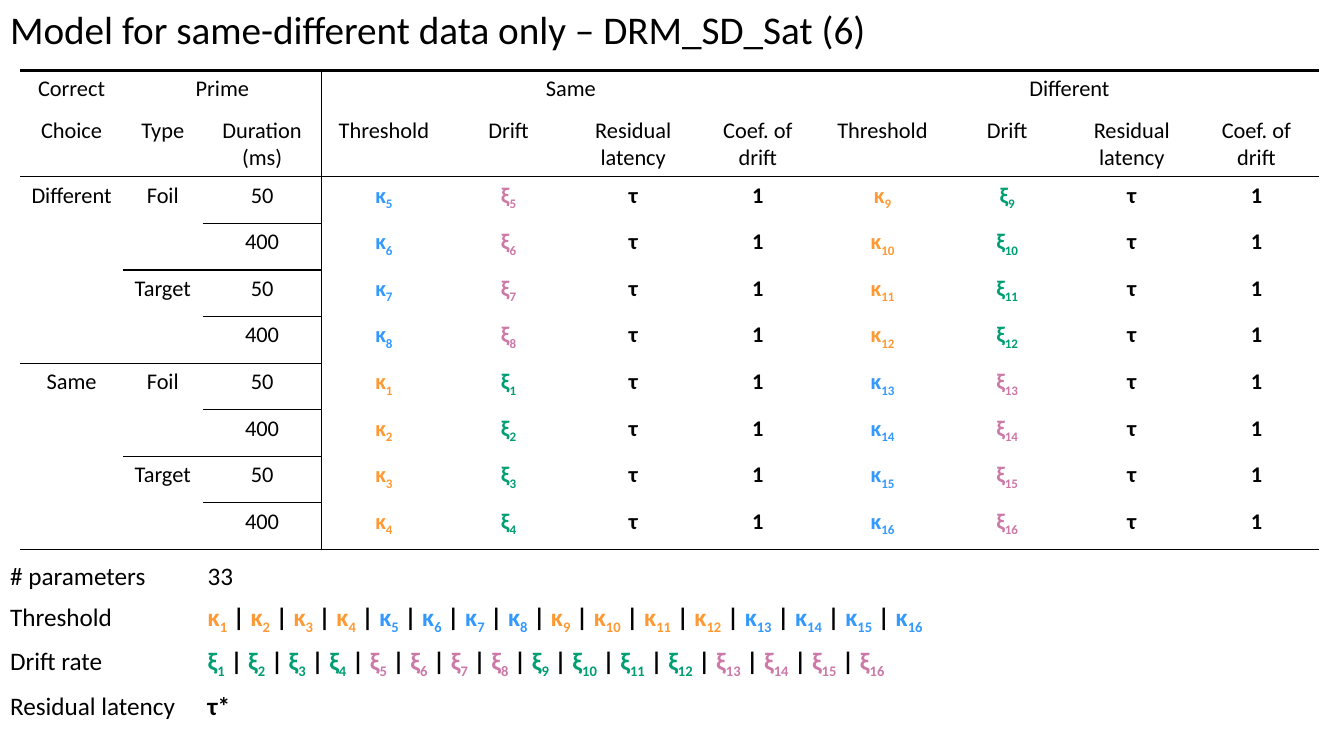
from dataclasses import dataclass
from itertools import product

from lxml import etree
from pptx import Presentation
from pptx import util as u
from pptx.dml.color import RGBColor
from pptx.enum import text
from pptx.oxml.ns import qn


@dataclass(frozen=True)
class Theme:
    font: str = "Calibri"
    black: str = "000000"
    white: str = "FFFFFF"
    correct: tuple = (("κ", "FF9933"), ("ξ", "009E73"))
    error: tuple = (("κ", "3399FF"), ("ξ", "CC79A7"))
    title_size: float = 28
    table_size: float = 16
    summary_size: float = 18
    thick: float = 2.25
    thin: float = 1
    plain_table: str = "{2D5ABB26-0587-4C30-8999-92F81FD0307C}"


@dataclass(frozen=True)
class Piece:
    text: str
    color: str = Theme.black
    bold: bool = False
    subscript: bool = False


def parameter(symbol, index):
    """Greek symbol with its number, coloured by the group of four it is in."""
    group = Theme.error if (index - 1) // 4 % 2 else Theme.correct
    color = dict(group)[symbol]
    return [Piece(symbol, color, True), Piece(str(index), color, True, True)]


def parameter_list(symbol, count=16):
    pieces = parameter(symbol, 1)
    for index in range(2, count + 1):
        pieces += [Piece(" | ", bold=True)] + parameter(symbol, index)
    return pieces


class SlideBuilder:
    def __init__(self, presentation, theme):
        self.theme = theme
        self.slide = presentation.slides.add_slide(presentation.slide_layouts[5])

    def add_runs(self, paragraph, pieces, size, alignment):
        paragraph.alignment = alignment
        for piece in pieces:
            run = paragraph.add_run()
            run.text = piece.text
            run.font.name = self.theme.font
            run.font.size = u.Pt(size)
            run.font.bold = piece.bold
            run.font.color.rgb = RGBColor.from_string(piece.color)
            if piece.subscript:
                run.font._element.set("baseline", "-25000")

    def title(self, words, left, top, width, height):
        title = self.slide.shapes.title
        title.left, title.top = u.Inches(left), u.Inches(top)
        title.width, title.height = u.Inches(width), u.Inches(height)
        frame = title.text_frame
        frame.word_wrap = False
        frame.auto_size = text.MSO_AUTO_SIZE.NONE
        frame.vertical_anchor = text.MSO_ANCHOR.TOP
        self.add_runs(frame.paragraphs[0], [Piece(words)],
                      self.theme.title_size, text.PP_ALIGN.LEFT)

    def table(self, left, top, widths, heights):
        frame = self.slide.shapes.add_table(
            len(heights), len(widths), u.Inches(left), u.Inches(top),
            u.Inches(sum(widths)), u.Inches(sum(heights)))
        table = frame.table
        table.first_row = table.horz_banding = False
        table._tbl.tblPr.find(qn("a:tableStyleId")).text = self.theme.plain_table
        for column, width in zip(table.columns, widths):
            column.width = u.Inches(width)
        for row, height in zip(table.rows, heights):
            row.height = u.Inches(height)
        return table

    def cell(self, cell, content, size, alignment, fill=None, borders=None):
        """Content is a string, one paragraph a line, or a list of pieces."""
        if isinstance(content, str):
            lines = [[Piece(line)] for line in content.split("\n") if line]
        else:
            lines = [content]
        for number, pieces in enumerate(lines):
            frame = cell.text_frame
            paragraph = frame.add_paragraph() if number else frame.paragraphs[0]
            self.add_runs(paragraph, pieces, size, alignment)
        for side in "LRTB":
            self.border(cell, side, (borders or {}).get(side))
        if fill:
            cell.fill.solid()
            cell.fill.fore_color.rgb = RGBColor.from_string(fill)
        else:
            cell.fill.background()

    def border(self, cell, side, width):
        properties = cell._tc.get_or_add_tcPr()
        line = etree.SubElement(properties, qn(f"a:ln{side}"))
        if width is None:
            etree.SubElement(line, qn("a:noFill"))
            return
        line.set("w", str(u.Pt(width)))
        fill = etree.SubElement(line, qn("a:solidFill"))
        etree.SubElement(fill, qn("a:srgbClr")).set("val", self.theme.black)


def model_rows():
    measures = ["Threshold", "Drift", "Residual latency", "Coef. of\ndrift"]
    rows = [["Correct", "Prime", "", "Same", "", "", "", "Different", "", "", ""],
            ["Choice", "Type", "Duration (ms)"] + measures * 2]
    first_index = {"Different": (5, 9), "Same": (1, 13)}
    conditions = product(first_index, ["Foil", "Target"], ["50", "400"])
    for number, (choice, prime, duration) in enumerate(conditions):
        offset = number % 4
        row = [choice if offset == 0 else "",
               prime if offset % 2 == 0 else "", duration]
        for start in first_index[choice]:
            index = start + offset
            row += [parameter("κ", index), parameter("ξ", index),
                    [Piece("τ", bold=True)], [Piece("1", bold=True)]]
        rows.append(row)
    return rows


def rule_below(row, column):
    """Whether a rule runs under this cell of the model table."""
    if row in (1, 9):
        return True
    step = {0: 4, 1: 2, 2: 1}.get(column)
    return row > 1 and step is not None and (row - 1) % step == 0


def model_borders(row, column, theme):
    borders = {}
    if row == 0:
        borders["T"] = theme.thick
    elif rule_below(row - 1, column):
        borders["T"] = theme.thin
    if rule_below(row, column):
        borders["B"] = theme.thin
    if column == 2 or (row, column) == (0, 1):
        borders["R"] = theme.thin
    if column == 3:
        borders["L"] = theme.thin
    return borders


def add_model_table(builder):
    theme = builder.theme
    table = builder.table(0.2, 0.7, [1.02, 0.79, 1.18] + [9.89 / 8] * 8,
                          [0.41, 0.64] + [3.7 / 8] * 8)
    for first, last in ((1, 2), (3, 6), (7, 10)):
        table.cell(0, first).merge(table.cell(0, last))
    for row, contents in enumerate(model_rows()):
        for column, content in enumerate(contents):
            builder.cell(table.cell(row, column), content, theme.table_size,
                         text.PP_ALIGN.CENTER,
                         borders=model_borders(row, column, theme))


def add_summary_table(builder):
    theme = builder.theme
    rows = [("# parameters", "33"),
            ("Threshold", parameter_list("κ")),
            ("Drift rate", parameter_list("ξ")),
            ("Residual latency", [Piece("τ*", bold=True)])]
    table = builder.table(0, 5.52, [1.96, 11.26], [0.4, 0.44, 0.44, 0.4])
    for row, contents in enumerate(rows):
        for column, content in enumerate(contents):
            builder.cell(table.cell(row, column), content, theme.summary_size,
                         text.PP_ALIGN.LEFT, fill=theme.white)


def main():
    presentation = Presentation()
    presentation.slide_width = u.Inches(13.33)
    presentation.slide_height = u.Inches(7.5)
    builder = SlideBuilder(presentation, Theme())
    builder.title("Model for same-different data only – DRM_SD_Sat (6)",
                  0, 0, 8.79, 0.57)
    add_model_table(builder)
    add_summary_table(builder)
    presentation.save("out.pptx")


if __name__ == "__main__":
    main()
